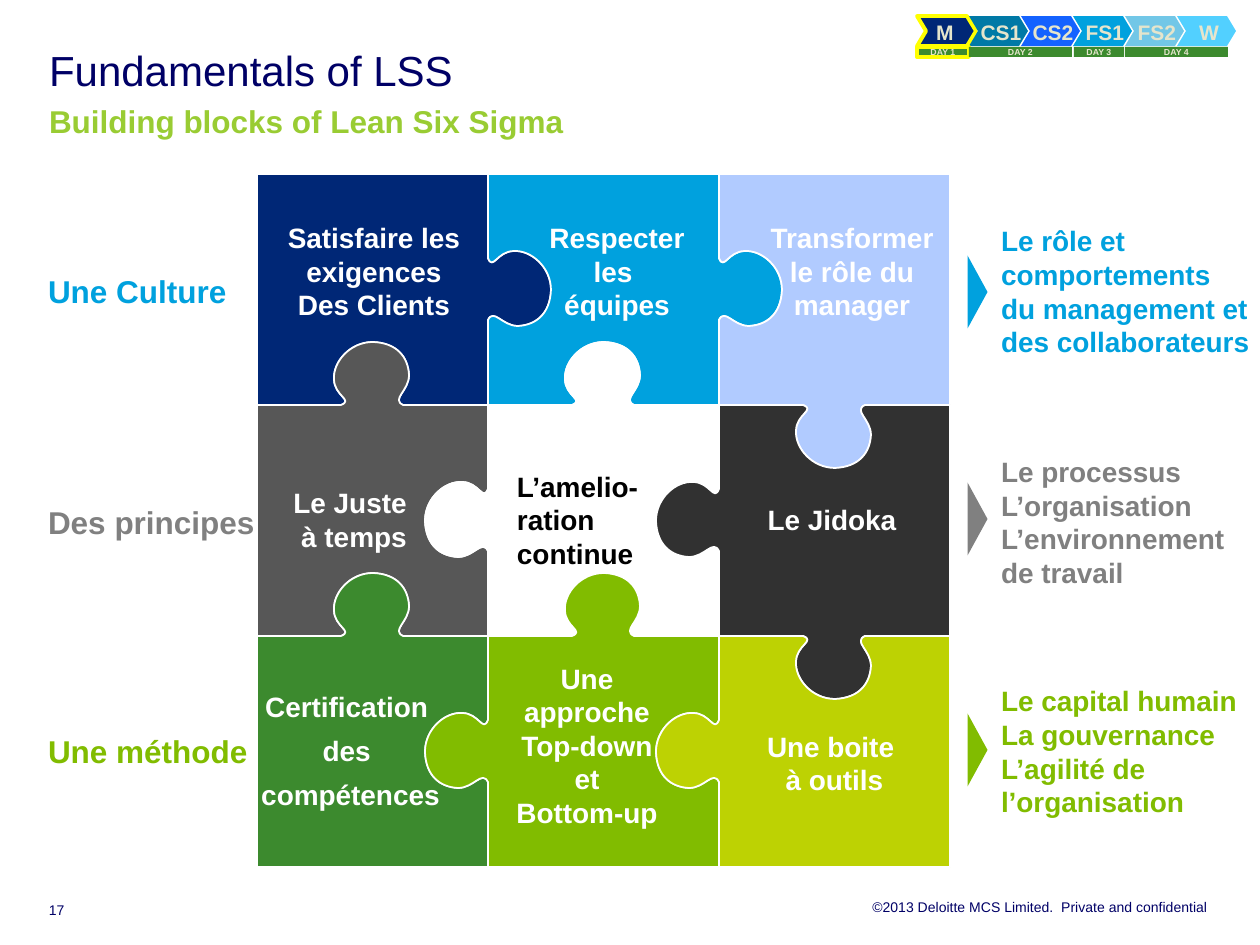
from lxml import etree
from pptx import Presentation
from pptx import util as u
from pptx.dml.color import RGBColor
from pptx.enum import shapes, text
from pptx.oxml import ns

FONT = "Arial"
NAVY = RGBColor(0x00, 0x27, 0x76)
TITLE_BLUE = RGBColor(0x00, 0x00, 0x66)
CYAN = RGBColor(0x00, 0xA1, 0xDE)
LAVENDER = RGBColor(0xB1, 0xCB, 0xFF)
DARK_GREY = RGBColor(0x57, 0x57, 0x57)
GREY = RGBColor(0x80, 0x80, 0x80)
CHARCOAL = RGBColor(0x31, 0x31, 0x31)
GREEN = RGBColor(0x3C, 0x8A, 0x2E)
LIME = RGBColor(0x81, 0xBC, 0x00)
SUBTITLE_GREEN = RGBColor(0x99, 0xCC, 0x33)
CHARTREUSE = RGBColor(0xBD, 0xD2, 0x03)
TEAL = RGBColor(0x00, 0x79, 0xA6)
BLUE = RGBColor(0x14, 0x62, 0xFF)
SKY = RGBColor(0x72, 0xC7, 0xE7)
AQUA = RGBColor(0x52, 0xD0, 0xFF)
CREAM = RGBColor(0xE5, 0xE5, 0xCC)
YELLOW = RGBColor(0xFF, 0xFF, 0x00)
BLACK = RGBColor(0x00, 0x00, 0x00)
WHITE = RGBColor(0xFF, 0xFF, 0xFF)

LEFT, CENTER, RIGHT = text.PP_ALIGN.LEFT, text.PP_ALIGN.CENTER, text.PP_ALIGN.RIGHT
TOP, MIDDLE, BOTTOM = text.MSO_ANCHOR.TOP, text.MSO_ANCHOR.MIDDLE, text.MSO_ANCHOR.BOTTOM
NO_INSETS = (0, 0, 0, 0)

GRID_X, GRID_Y, SIDE = 257, 174, 231
KNOB = [
    (84, 0),
    (97, 5), (77, 9), (77, 26),
    (76, 43), (93, 63), (116, 63),
    (140, 62), (151, 48), (152, 30),
    (152, 14), (134, 6), (146, 0),
]
ROW_KNOBS = (1, -1, -1)
COLUMN_KNOBS = (-1, -1, 1)
PIECE_COLORS = [
    (NAVY, CYAN, LAVENDER),
    (DARK_GREY, WHITE, CHARCOAL),
    (GREEN, LIME, CHARTREUSE),
]

PIECE_LABELS = [
    ((260, 179, 228, 184), "Satisfaire les exigences\nDes Clients", WHITE),
    ((518, 179, 198, 184), "Respecter\nles \néquipes", WHITE),
    ((753, 179, 198, 184), "Transformer\nle rôle du manager", WHITE),
    ((260, 406, 188, 227), "Le Juste \nà temps", WHITE),
    ((718, 406, 228, 227), "Le Jidoka", WHITE),
    ((488, 665, 198, 160), "Une approche Top-down\net\nBottom-up", WHITE),
    ((723, 683, 223, 160), "Une boite \nà outils", WHITE),
]
ROWS = [
    (175, 282, CYAN, "Une Culture",
     "Le rôle et comportements\ndu management et des collaborateurs"),
    (406, 509, GREY, "Des principes",
     "Le processus\nL’organisation\nL’environnement\nde travail"),
    (635, 740, LIME, "Une méthode",
     "Le capital humain\nLa gouvernance\nL’agilité de\nl’organisation"),
]
STEPS = [("M", NAVY), ("CS1", TEAL), ("CS2", BLUE),
         ("FS1", CYAN), ("FS2", SKY), ("W", AQUA)]
DAYS = [(917, 52), (969, 103), (1074, 50), (1125, 103)]


def px(n):
    return u.Emu(round(n * 914400 / 126))


def style(r, size, color, bold):
    r.font.name = FONT
    r.font.size = u.Pt(size)
    r.font.bold = bold
    r.font.color.rgb = color


def write(sp, content, size, color, bold=True, align=LEFT, anchor=MIDDLE,
          insets=(13, 6, 13, 6), wrap=True):
    tf = sp.text_frame
    tf.text = content
    tf.word_wrap = wrap
    tf.vertical_anchor = anchor
    tf.margin_left, tf.margin_top, tf.margin_right, tf.margin_bottom = map(px, insets)
    for p in tf.paragraphs:
        p.alignment = align
        for r in p.runs:
            style(r, size, color, bold)
    return tf


def add_label(s, box, content, size, color, **options):
    sp = s.shapes.add_textbox(*map(px, box))
    return write(sp, content, size, color, **options)


def paint(sp, fill, line=None, width=1):
    sp.shadow.inherit = False
    sp.fill.solid()
    sp.fill.fore_color.rgb = fill
    if line is None:
        sp.line.fill.background()
    else:
        sp.line.color.rgb = line
        sp.line.width = u.Pt(width)


def add_preset(s, kind, box, fill, line=None, width=1):
    sp = s.shapes.add_shape(kind, *map(px, box))
    paint(sp, fill, line, width)
    return sp


def edge(line, direction):
    knob = KNOB if line in (1, 2) else []
    return [(0, 0)] + [(t, d * direction) for t, d in knob] + [(SIDE, 0)]


def horizontal_edge(row, col):
    return [(GRID_X + col * SIDE + t, GRID_Y + row * SIDE + d)
            for t, d in edge(row, COLUMN_KNOBS[col])]


def vertical_edge(row, col):
    return [(GRID_X + col * SIDE + d, GRID_Y + row * SIDE + t)
            for t, d in edge(col, ROW_KNOBS[row])]


def round_knobs(sp, edges):
    outline = sp._element.find(".//" + ns.qn("a:path"))
    lines = outline.findall(ns.qn("a:lnTo"))
    first = 1
    for points in edges:
        for i in range(first, first + len(points) - 3, 3):
            curve = etree.Element(ns.qn("a:cubicBezTo"))
            lines[i].addprevious(curve)
            for line in lines[i:i + 3]:
                curve.append(line[0])
                outline.remove(line)
        first += len(points) - 1


def add_piece(s, row, col, color):
    edges = [horizontal_edge(row, col), vertical_edge(row, col + 1),
             horizontal_edge(row + 1, col)[::-1], vertical_edge(row, col)[::-1]]
    points = [(px(x), px(y)) for e in edges for x, y in e[:-1]]
    builder = s.shapes.build_freeform(*points[0], scale=1.0)
    builder.add_line_segments(points[1:], close=True)
    sp = builder.convert_to_shape()
    round_knobs(sp, edges)
    paint(sp, color, WHITE)


def add_puzzle(s):
    for row, colors in enumerate(PIECE_COLORS):
        for col, color in enumerate(colors):
            add_piece(s, row, col, color)
    for box, content, color in PIECE_LABELS:
        add_label(s, box, content, 16, color, align=CENTER)
    add_label(s, (504, 404, 165, 231), "L’amelio-ration continue", 16, BLACK)
    tf = add_label(s, (247, 683, 207, 134), "Certification \ndes \ncompétences", 16,
                   WHITE, align=CENTER, insets=(5, 6, 5, 6))
    tf.paragraphs[1].space_before = tf.paragraphs[1].space_after = u.Pt(6)


def add_row_notes(s):
    for top, arrow_top, color, theme, details in ROWS:
        add_label(s, (35, top, 285, 232), theme, 18, color)
        sp = add_preset(s, shapes.MSO_SHAPE.ISOSCELES_TRIANGLE,
                        (941, arrow_top, 73, 20), color)
        sp.rotation = 90
        add_label(s, (988, top, 285, 232), details, 16, color)


def add_tracker(s):
    for i, (name, color) in enumerate(STEPS):
        current = i == 0
        sp = add_preset(s, shapes.MSO_SHAPE.CHEVRON, (917 + 52 * i, 16, 59, 30),
                        color, YELLOW if current else None, 2.25)
        sp.adjustments[0] = 0.3
        tf = write(sp, name, 12, CREAM, align=LEFT if current else CENTER, wrap=False,
                   insets=(10, 8, 0, 8) if current else (25, 8, 20, 8))
        tf.paragraphs[0].line_spacing = 1.1
    for i, (left, width) in enumerate(DAYS):
        sp = add_preset(s, shapes.MSO_SHAPE.RECTANGLE, (left, 47, width, 10),
                        GREEN, YELLOW if i == 0 else None, 2.25)
        write(sp, f"DAY {i + 1}", 5, CREAM, align=CENTER, anchor=TOP, insets=(5, 0, 5, 0))


def set_title(s):
    sp = s.shapes.title
    sp.left, sp.top, sp.width, sp.height = map(px, (49, 49, 1160, 87))
    tf = write(sp, "Fundamentals of LSS", 24, TITLE_BLUE, bold=False,
               anchor=TOP, insets=NO_INSETS)
    tf.auto_size = text.MSO_AUTO_SIZE.NONE
    p = tf.paragraphs[0]
    p.line_spacing = u.Pt(26)
    p.add_line_break()
    r = p.add_run()
    r.text = "Building blocks of Lean Six Sigma"
    style(r, 18, SUBTITLE_GREEN, True)


def add_footer(s):
    add_label(s, (428, 898, 780, 16), "©2013 Deloitte MCS Limited.  Private and confidential",
              8, TITLE_BLUE, bold=False, align=RIGHT, anchor=TOP, insets=NO_INSETS)
    add_label(s, (49, 902, 49, 16), "17", 8, TITLE_BLUE, bold=False,
              anchor=BOTTOM, insets=NO_INSETS)


def main():
    prs = Presentation()
    prs.slide_width, prs.slide_height = px(1260), px(945)
    s = prs.slides.add_slide(prs.slide_layouts[5])
    set_title(s)
    add_tracker(s)
    add_puzzle(s)
    add_row_notes(s)
    add_footer(s)
    prs.save("out.pptx")


if __name__ == "__main__":
    main()
